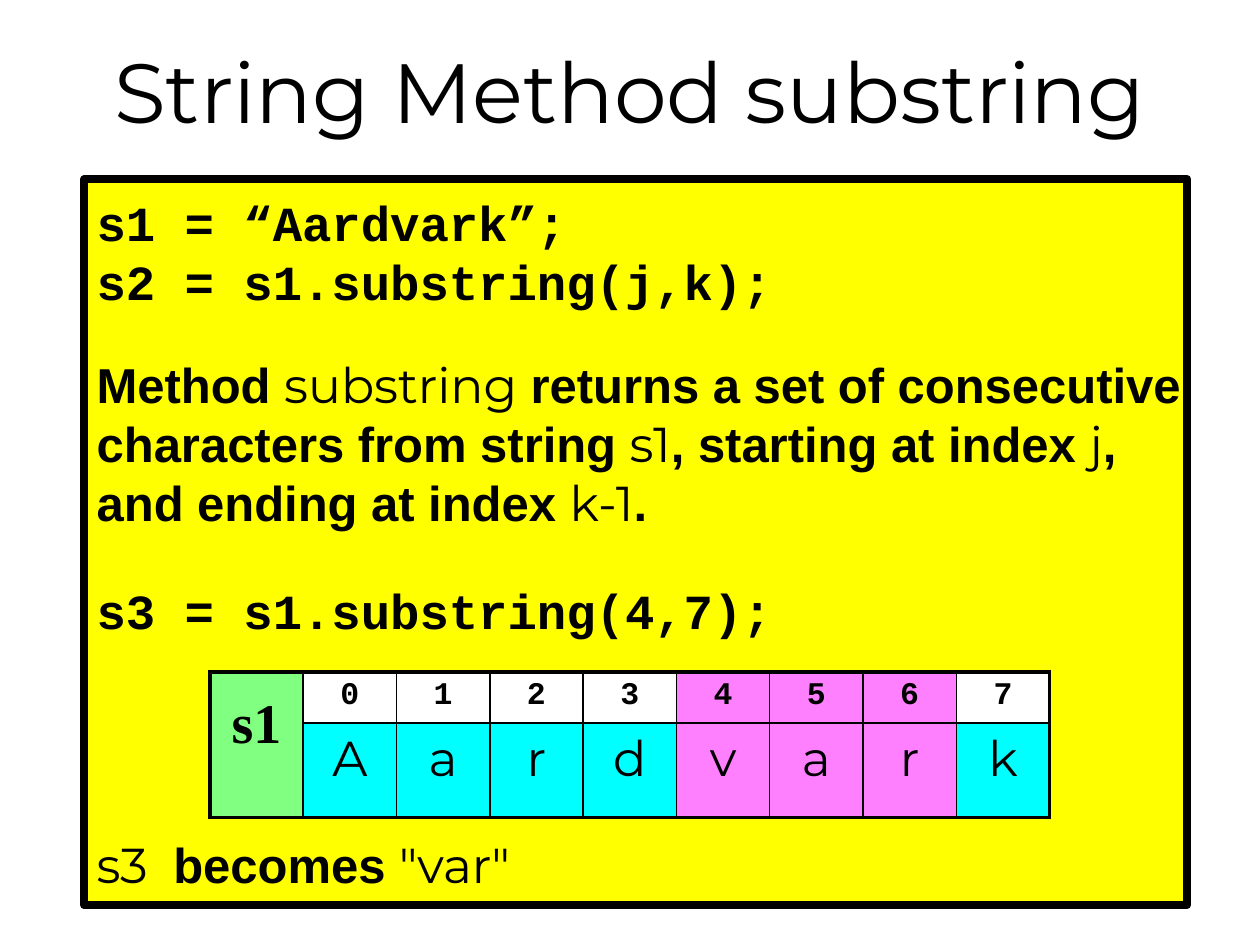
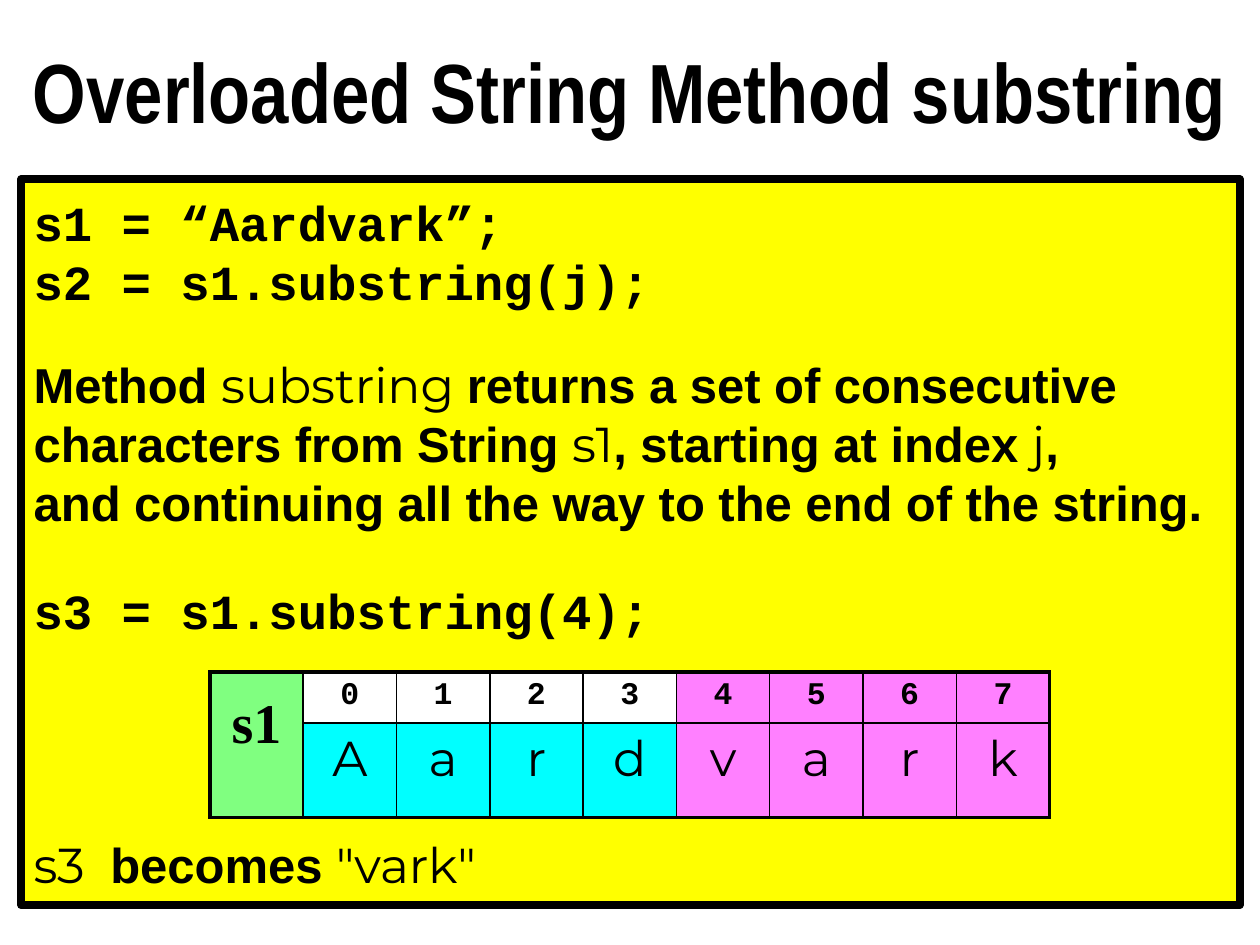
import pptx
import pptx.dml.color
import pptx.enum.shapes
import pptx.enum.text
import pptx.oxml
import pptx.oxml.ns
import pptx.util
from pptx.util import Cm

BLACK = pptx.dml.color.RGBColor(0x00, 0x00, 0x00)
WHITE = pptx.dml.color.RGBColor(0xFF, 0xFF, 0xFF)
YELLOW = pptx.dml.color.RGBColor(0xFF, 0xFF, 0x00)
GREEN = pptx.dml.color.RGBColor(0x80, 0xFF, 0x80)
CYAN = pptx.dml.color.RGBColor(0x00, 0xFF, 0xFF)
PINK = pptx.dml.color.RGBColor(0xFF, 0x80, 0xFF)

SANS, MONO, LIGHT = "Arial", "Courier New", "Montserrat"
WORD = "Aardvark"
SELECTION_START = 4
BODY_SIZE = 28
LINE_PITCH = 33.7
THICK, THIN = 2.25, 1
CENTER = pptx.enum.text.PP_ALIGN.CENTER


def style_font(font, name, size, bold):
    """Set the face, size and weight of black text."""
    font.name, font.size, font.bold = name, pptx.util.Pt(size), bold
    font.color.rgb = BLACK


def add_title(slide, text, font_name, bold):
    """Add the centred title across the top of the slide."""
    shape = slide.shapes.add_textbox(0, 0, Cm(25.4), Cm(3.61))
    frame = shape.text_frame
    frame.word_wrap = True
    frame.vertical_anchor = pptx.enum.text.MSO_ANCHOR.MIDDLE
    paragraph = frame.paragraphs[0]
    paragraph.text = text
    paragraph.alignment = CENTER
    style_font(paragraph.font, font_name, 48, bold)


def add_paragraph(frame, runs, space_before):
    """Fill the next paragraph with (text, font name) runs; the light face is not bold."""
    paragraph = frame.paragraphs[0]
    if paragraph.runs:
        paragraph = frame.add_paragraph()
    paragraph.alignment = pptx.enum.text.PP_ALIGN.LEFT
    paragraph.line_spacing = pptx.util.Pt(LINE_PITCH)
    paragraph.space_before = pptx.util.Pt(space_before)
    first_name = runs[0][1]
    style_font(paragraph.font, first_name, BODY_SIZE, first_name != LIGHT)
    for text, name in runs:
        run = paragraph.add_run()
        run.text = text
        if len(runs) > 1:
            style_font(run.font, name, BODY_SIZE, name != LIGHT)


def add_code_panel(slide, left, width, paragraphs):
    """Add the yellow panel with its (space before, runs) paragraphs."""
    shape = slide.shapes.add_shape(
        pptx.enum.shapes.MSO_SHAPE.RECTANGLE, left, Cm(3.61), width, Cm(14.64))
    shape.shadow.inherit = False
    shape.fill.solid()
    shape.fill.fore_color.rgb = YELLOW
    shape.line.color.rgb = BLACK
    shape.line.width = pptx.util.Pt(4.5)
    frame = shape.text_frame
    frame.word_wrap = True
    frame.vertical_anchor = pptx.enum.text.MSO_ANCHOR.TOP
    frame.margin_top, frame.margin_right = Cm(0.27), Cm(0.1)
    for space_before, runs in paragraphs:
        add_paragraph(frame, runs, space_before)


def set_borders(cell, widths):
    """Draw black borders of the given left, right, top and bottom widths."""
    properties = cell._tc.get_or_add_tcPr()
    for position, (side, width) in enumerate(zip("LRTB", widths)):
        properties.insert(position, pptx.oxml.parse_xml(
            f'<a:ln{side} {pptx.oxml.ns.nsdecls("a")} w="{pptx.util.Pt(width)}">'
            f'<a:solidFill><a:srgbClr val="{BLACK}"/></a:solidFill></a:ln{side}>'))


def fill_cell(cell, text, font_name, size, bold, color):
    """Write centred text on a coloured cell."""
    cell.fill.solid()
    cell.fill.fore_color.rgb = color
    paragraph = cell.text_frame.paragraphs[0]
    paragraph.text = text
    paragraph.alignment = CENTER
    style_font(paragraph.font, font_name, size, bold)


def add_index_table(slide, selection_end):
    """Add the table of letters and indexes with the selected ones in pink."""
    columns = len(WORD) + 1
    table = slide.shapes.add_table(
        2, columns, Cm(4.23), Cm(13.55), Cm(16.93), Cm(2.88)).table
    table.first_row = table.horz_banding = False
    table.rows[0].height, table.rows[1].height = Cm(1.02), Cm(1.86)
    name_cell = table.cell(0, 0)
    name_cell.merge(table.cell(1, 0))
    fill_cell(name_cell, "s1", "Times New Roman", 32, True, GREEN)
    name_cell.margin_top = Cm(0.43)
    for index, letter in enumerate(WORD):
        selected = SELECTION_START <= index < selection_end
        fill_cell(table.cell(0, index + 1), str(index), MONO, 18, True,
                  PINK if selected else WHITE)
        fill_cell(table.cell(1, index + 1), letter, LIGHT, BODY_SIZE, False,
                  PINK if selected else CYAN)
    for column in range(columns):
        left = THICK if column == 0 else THIN
        right = THICK if column == columns - 1 else THIN
        set_borders(table.cell(0, column),
                    (left, right, THICK, THICK if column == 0 else THIN))
        set_borders(table.cell(1, column), (left, right, THIN, THICK))


def add_substring_slide(presentation, title, title_font, title_bold, left, width,
                        arguments, explanation, example, selection_end):
    """Add a slide explaining one form of the substring method."""
    slide = presentation.slides.add_slide(presentation.slide_layouts[6])
    add_title(slide, title, title_font, title_bold)
    result = WORD[SELECTION_START:selection_end]
    add_code_panel(slide, left, width, [
        (0, [(f"s1 = “{WORD}”;", MONO)]),
        (0, [(f"s2 = s1.substring({arguments});", MONO)]),
        *[(0 if number else 25, runs) for number, runs in enumerate(explanation)],
        (28, [(f"s3 = s1.substring({example});", MONO)]),
        (111.5, [("s3  ", LIGHT), ("becomes ", SANS), (f'"{result}"', LIGHT)]),
    ])
    add_index_table(slide, selection_end)


def main():
    """Build both slides and save the presentation."""
    presentation = pptx.Presentation()
    presentation.slide_width, presentation.slide_height = Cm(25.4), Cm(19.05)
    add_substring_slide(
        presentation, "String Method substring", LIGHT, False, Cm(1.7), Cm(22.23), "j,k",
        [[("Method ", SANS), ("substring", LIGHT),
          (" returns a set of consecutive characters from string ", SANS),
          ("s1", LIGHT), (", starting at index ", SANS), ("j", LIGHT),
          (", and ending at index ", SANS), ("k-1", LIGHT), (".", SANS)]],
        "4,7", 7)
    add_substring_slide(
        presentation, "Overloaded String Method substring", "Arial Narrow", True,
        Cm(0.43), Cm(24.56), "j",
        [[("Method ", SANS), ("substring ", LIGHT),
          ("returns a set of consecutive characters from String ", SANS),
          ("s1", LIGHT), (", starting at index ", SANS), ("j", LIGHT), (",", SANS)],
         [("and continuing all the way to the end of the string.", SANS)]],
        "4", len(WORD))
    presentation.save("out.pptx")


if __name__ == "__main__":
    main()
